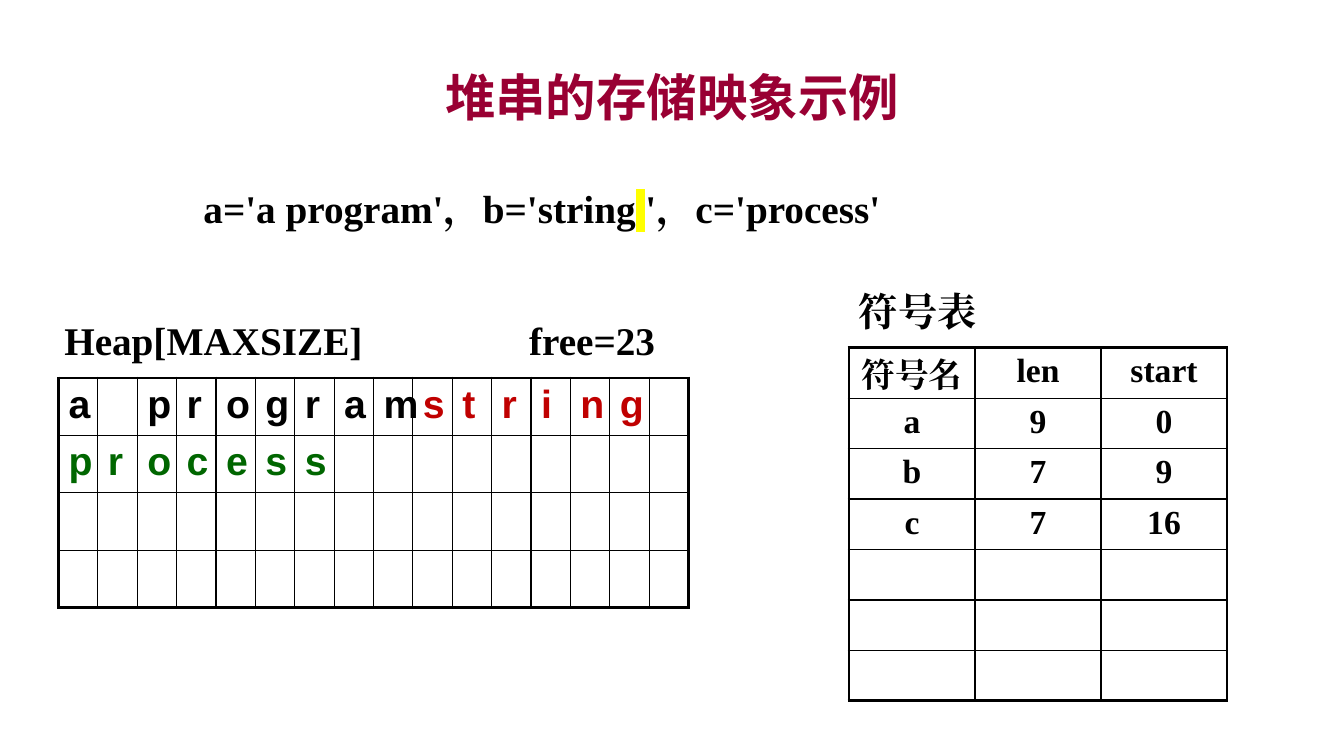
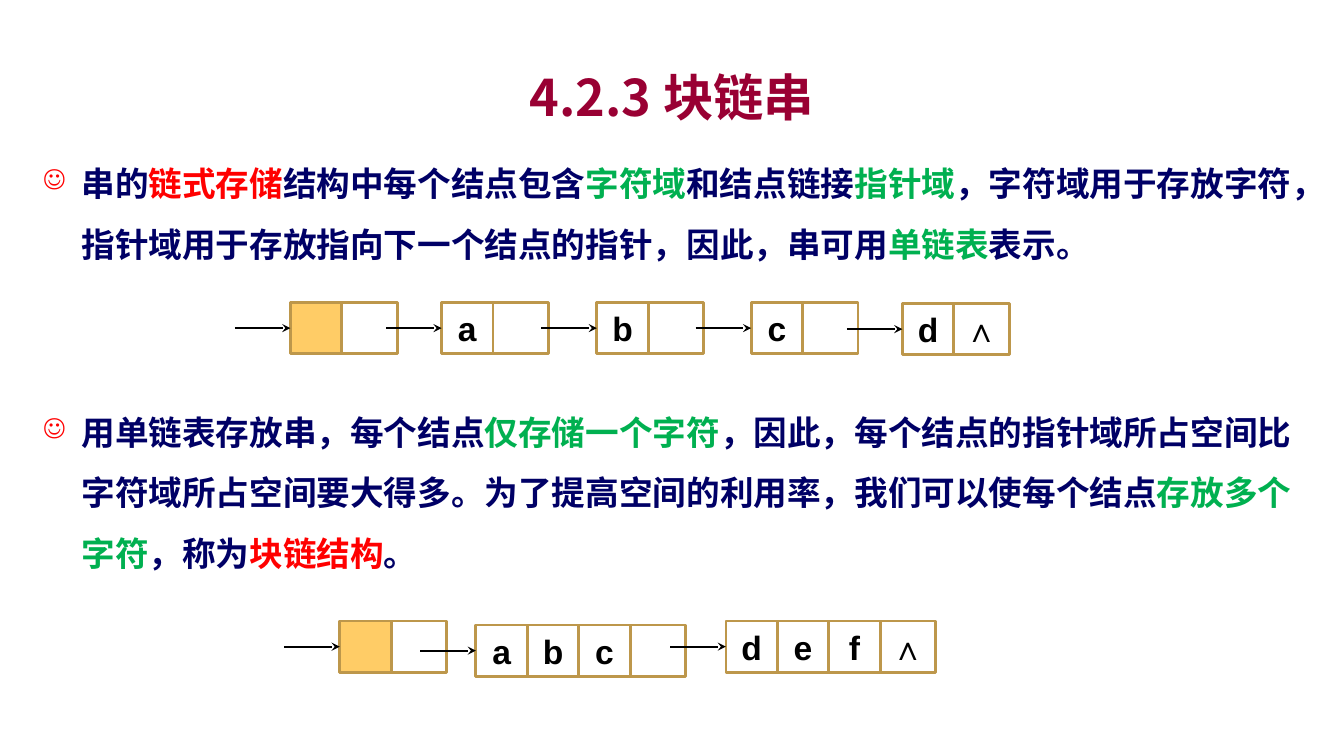
import pptx
import pptx.util
import pptx.dml.color
import pptx.enum.shapes
import pptx.enum.text
import pptx.oxml
import pptx.oxml.ns
import lxml.etree

Inches, Pt = pptx.util.Inches, pptx.util.Pt
qn = pptx.oxml.ns.qn
ALIGN = pptx.enum.text.PP_ALIGN
ANCHOR = pptx.enum.text.MSO_ANCHOR

COLORS = {
    "title": "990033", "black": "000000", "navy": "000066", "red": "FF0000",
    "green": "00B050", "dark red": "C00000", "dark green": "006600",
    "head": "FFCC66", "node": "BD974B", "mark": "FFFF00",
}
SANS, SERIF, CJK = "Arial", "Times New Roman", "Noto Sans CJK SC"

TITLES = ["堆串的存储映象示例", "4.2.3 块链串"]

# left, top, width, runs
LABELS = [
    (1.92, 1.78, 7.17, ["a='a program'，b='string", " ", "'，c='process'"]),
    (0.54, 3.09, 6.17, ["Heap[MAXSIZE]\tfree=23"]),
    (8.42, 2.8, 1.58, ["符号表"]),
]
FREE_TAB = 4.61

HEAP_ROWS, HEAP_COLS = 4, 16
HEAP = [("a program", "black"), ("string ", "dark red"), ("process", "dark green")]

SYMBOL_ROWS = 7
SYMBOLS = [("符号名", "len", "start"), ("a", "9", "0"), ("b", "7", "9"), ("c", "7", "16")]

BODY = [
    [("串的", "navy"), ("链式存储", "red"), ("结构中每个结点包含", "navy"),
     ("字符域", "green"), ("和结点链接", "navy"), ("指针域", "green"),
     ("，字符域用于存放字符，指针域用于存放指向下一个结点的指针，因此，串可用", "navy"),
     ("单链表", "green"), ("表示。", "navy")],
    [("用单链表存放串，每个结点", "navy"), ("仅存储一个字符", "green"),
     ("，因此，每个结点的指针域所占空间比字符域所占空间要大得多。"
      "为了提高空间的利用率，我们可以使每个结点", "navy"),
     ("存放多个字符", "green"), ("，称为", "navy"), ("块链结构", "red"), ("。", "navy")],
]
BODY_GAP = 91  # points between the paragraphs, room for the first chain

# left, top, characters, pointer text; no characters marks the head node
CHAINS = [
    [(2.88, 3, "", ""), (4.38, 3, "a", ""), (5.92, 3, "b", ""),
     (7.45, 3, "c", ""), (8.95, 3.01, "d", "∧")],
    [(3.37, 6.16, "", ""), (4.72, 6.2, "abc", ""), (7.2, 6.16, "def", "∧")],
]
CHAR_W, POINTER_W, NODE_H, ARROW = 0.51, 0.55, 0.51, 0.55


def rgb(name):
    return pptx.dml.color.RGBColor.from_string(COLORS[name])


def add_xml(parent, tag, **attrs):
    el = lxml.etree.SubElement(parent, qn(tag))
    for key, value in attrs.items():
        el.set(key, str(value))
    return el


def add_run(p, text, size, font, color):
    r = p.add_run()
    r.text = text
    r.font.size, r.font.bold, r.font.name = Pt(size), True, font
    r.font.color.rgb = rgb(color)
    add_xml(r.font._element, "a:ea", typeface=font)
    return r


def add_titled_slide(prs, title):
    slide = prs.slides.add_slide(prs.slide_layouts[5])
    sp = slide.shapes.title
    sp.left, sp.top, sp.width, sp.height = map(Inches, (1, 0.58, 11.33, 0.75))
    sp.text_frame.vertical_anchor = ANCHOR.MIDDLE
    p = sp.text_frame.paragraphs[0]
    p.alignment = ALIGN.CENTER
    add_run(p, title, 36, CJK, "title")
    return slide


def add_text_box(slide, left, top, width, height):
    sp = slide.shapes.add_textbox(*map(Inches, (left, top, width, height)))
    sp.text_frame.word_wrap = True
    return sp.text_frame


def highlight(run):
    rpr = run.font._element
    mark = add_xml(rpr, "a:highlight")
    add_xml(mark, "a:srgbClr", val=COLORS["mark"])
    rpr.find(qn("a:latin")).addprevious(mark)


def add_label(slide, left, top, width, texts):
    p = add_text_box(slide, left, top, width, 0.57).paragraphs[0]
    p.space_before = Pt(3)
    for text in texts:
        r = add_run(p, text, 28, SERIF, "black")
        if text == " ":
            highlight(r)
        if "\t" in text:
            tabs = add_xml(p._p.get_or_add_pPr(), "a:tabLst")
            add_xml(tabs, "a:tab", pos=Inches(FREE_TAB), algn="l")


def set_borders(cell, thick):
    """Draw the four sides of a cell, those named in thick at 2.25 pt."""
    tcpr = cell._tc.get_or_add_tcPr()
    for i, side in enumerate("LRTB"):
        ln = add_xml(tcpr, "a:ln" + side, w=Pt(2.25 if side in thick else 1))
        add_xml(add_xml(ln, "a:solidFill"), "a:srgbClr", val=COLORS["black"])
        tcpr.insert(i, ln)


def add_grid(slide, left, top, width, row_h, rows, cols):
    """Add an unfilled table with thin inner lines and a thick frame."""
    box = map(Inches, (left, top, width, row_h * rows))
    table = slide.shapes.add_table(rows, cols, *box).table
    table.first_row = table.horz_banding = False
    for row in table.rows:
        row.height = Inches(row_h)
    for col in table.columns:
        col.width = Inches(width / cols)
    for r in range(rows):
        for c in range(cols):
            cell = table.cell(r, c)
            cell.fill.background()
            edges = {"L": c == 0, "R": c == cols - 1, "T": r == 0, "B": r == rows - 1}
            set_borders(cell, [side for side, outer in edges.items() if outer])
    return table


def write_cell(cell, text, size, font, color, align):
    p = cell.text_frame.paragraphs[0]
    p.alignment, p.space_before = align, Pt(1)
    add_run(p, text, size, font, color)


def add_heap(slide):
    table = add_grid(slide, 0.58, 3.75, 6.25, 0.57, HEAP_ROWS, HEAP_COLS)
    stored = [(char, color) for text, color in HEAP for char in text]
    for i, (char, color) in enumerate(stored):
        if char != " ":
            write_cell(table.cell(*divmod(i, HEAP_COLS)), char, 28, SANS, color, ALIGN.LEFT)


def add_symbols(slide):
    table = add_grid(slide, 8.42, 3.45, 3.75, 0.5, SYMBOL_ROWS, len(SYMBOLS[0]))
    for r, row in enumerate(SYMBOLS):
        for c, text in enumerate(row):
            write_cell(table.cell(r, c), text, 24, SERIF, "black", ALIGN.CENTER)
    name = table.cell(0, 0)
    name.margin_top, name.margin_bottom = Inches(0.1), 0


def add_body(slide):
    tf = add_text_box(slide, 0.33, 1.37, 12.67, 4.33)
    for i, runs in enumerate(BODY):
        p = tf.add_paragraph() if i else tf.paragraphs[0]
        p.line_spacing, p.space_before = Pt(43.2), Pt(BODY_GAP * i)
        ppr = p._p.get_or_add_pPr()
        ppr.set("marL", str(Inches(0.38)))
        ppr.set("indent", str(-Inches(0.38)))
        add_xml(add_xml(ppr, "a:buClr"), "a:srgbClr", val=COLORS["red"])
        add_xml(ppr, "a:buSzPct", val=80000)
        add_xml(ppr, "a:buChar", char="☺")
        for text, color in runs:
            add_run(p, text, 24, CJK, color)


def add_field(group, left, top, width, text, filled):
    box = map(Inches, (left, top, width, NODE_H))
    sp = group.shapes.add_shape(pptx.enum.shapes.MSO_SHAPE.RECTANGLE, *box)
    sp.shadow.inherit = False
    sp.line.color.rgb, sp.line.width = rgb("node"), Pt(2)
    if filled:
        sp.fill.solid()
        sp.fill.fore_color.rgb = rgb("head")
    else:
        sp.fill.background()
    if text:
        tf = sp.text_frame
        tf.margin_left = tf.margin_right = tf.margin_top = tf.margin_bottom = 0
        tf.vertical_anchor = ANCHOR.MIDDLE
        p = tf.paragraphs[0]
        p.alignment = ALIGN.CENTER
        add_run(p, text, 24, SANS, "black")
    return sp


def add_arrow(group, left, y, target):
    ends = map(Inches, (left - ARROW, y, left, y))
    line = group.shapes.add_connector(pptx.enum.shapes.MSO_CONNECTOR.STRAIGHT, *ends)
    line.end_connect(target, 1)
    line.line.color.rgb, line.line.width = rgb("black"), Pt(1.5)
    add_xml(line.line._get_or_add_ln(), "a:tailEnd", type="stealth")
    add_xml(line._element.spPr, "a:effectLst")


def add_chain(slide, nodes):
    group = slide.shapes.add_group_shape()
    for left, top, chars, pointer in nodes:
        fields = [add_field(group, left + i * CHAR_W, top, CHAR_W, char, not chars)
                  for i, char in enumerate(chars or [""])]
        add_field(group, left + len(fields) * CHAR_W, top, POINTER_W, pointer, False)
        add_arrow(group, left, top + NODE_H / 2, fields[0])


def main():
    prs = pptx.Presentation()
    prs.slide_width, prs.slide_height = Inches(13.33), Inches(7.5)
    heap_slide, chain_slide = [add_titled_slide(prs, title) for title in TITLES]
    for label in LABELS:
        add_label(heap_slide, *label)
    add_heap(heap_slide)
    add_symbols(heap_slide)
    add_body(chain_slide)
    for nodes in CHAINS:
        add_chain(chain_slide, nodes)
    prs.save("out.pptx")


if __name__ == "__main__":
    main()
